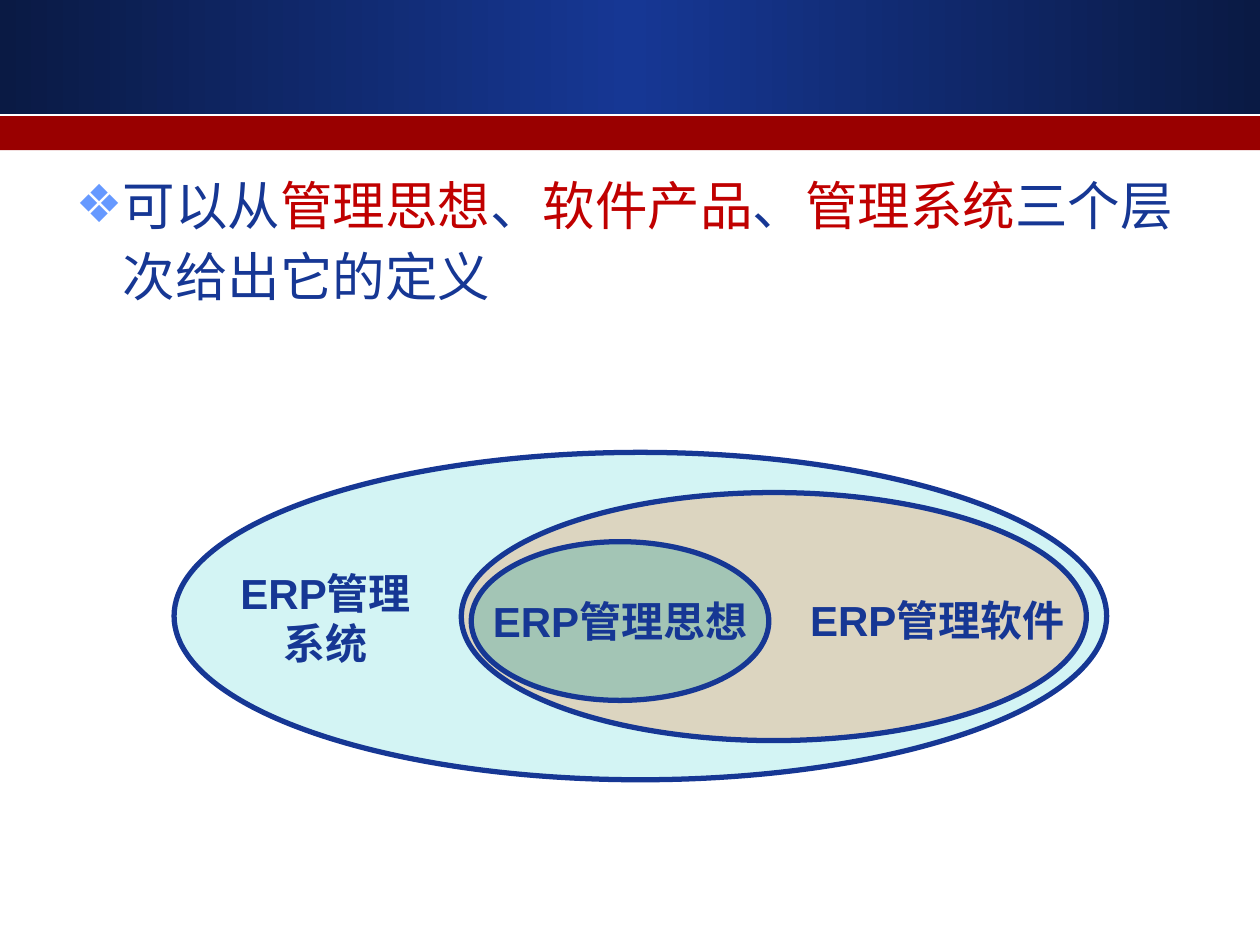
import copy

import lxml.etree
import pptx
import pptx.dml.color
import pptx.enum.shapes
import pptx.enum.text
import pptx.oxml.ns
import pptx.util

Cm = pptx.util.Cm
Pt = pptx.util.Pt
qn = pptx.oxml.ns.qn
ALIGN = pptx.enum.text.PP_ALIGN
ANCHOR = pptx.enum.text.MSO_ANCHOR
SHAPE = pptx.enum.shapes.MSO_SHAPE

NAVY = "163794"
DARK_NAVY = "0A1A44"
RED = "C00000"
BAND_RED = "990000"
BULLET_BLUE = "6699FF"


def color(value):
    return pptx.dml.color.RGBColor.from_string(value)


def add_run(paragraph, text, size=24, bold=False, fill=NAVY):
    run = paragraph.add_run()
    run.text = text
    run.font.name = "Arial"
    run.font.size = Pt(size)
    run.font.bold = bold
    run.font.color.rgb = color(fill)


def write_label(shape, text, align=ALIGN.CENTER, anchor=ANCHOR.MIDDLE, wrap=False):
    frame = shape.text_frame
    frame.word_wrap = wrap
    frame.vertical_anchor = anchor
    paragraph = frame.paragraphs[0]
    paragraph.alignment = align
    add_run(paragraph, text, bold=True)


def add_label(shapes, box, text, **text_format):
    label = shapes.add_textbox(*map(Cm, box))
    write_label(label, text, **text_format)


def add_band(shapes, top, height):
    band = shapes.add_shape(SHAPE.RECTANGLE, 0, Cm(top), Cm(25.4), Cm(height))
    band.shadow.inherit = False
    band.line.fill.background()
    return band


def add_header(shapes):
    gradient_band = add_band(shapes, 0, 2.31)
    fill = gradient_band.fill
    fill.gradient()
    fill.gradient_angle = 0
    stop_list = gradient_band.element.spPr.find(".//" + qn("a:gsLst"))
    stop_list.append(copy.deepcopy(stop_list[-1]))
    stops = zip(fill.gradient_stops, (0, 0.5, 1), (DARK_NAVY, NAVY, DARK_NAVY))
    for stop, position, value in stops:
        stop.position = position
        stop.color.rgb = color(value)
    red_band = add_band(shapes, 2.34, 0.69)
    red_band.fill.solid()
    red_band.fill.fore_color.rgb = color(BAND_RED)


def add_ellipse(shapes, box, fill, opacity):
    ellipse = shapes.add_shape(SHAPE.OVAL, *map(Cm, box))
    ellipse.shadow.inherit = False
    ellipse.fill.solid()
    ellipse.fill.fore_color.rgb = color(fill)
    solid_color = ellipse.element.spPr.find(qn("a:solidFill"))[0]
    alpha = lxml.etree.SubElement(solid_color, qn("a:alpha"))
    alpha.set("val", str(opacity * 1000))
    ellipse.line.color.rgb = color(NAVY)
    ellipse.line.width = Pt(3)
    return ellipse


def add_bullet(paragraph, character, fill):
    properties = paragraph._p.get_or_add_pPr()
    properties.set("marL", str(Cm(0.95)))
    properties.set("indent", str(Cm(-0.95)))
    bullet_color = lxml.etree.SubElement(properties, qn("a:buClr"))
    lxml.etree.SubElement(bullet_color, qn("a:srgbClr")).set("val", fill)
    lxml.etree.SubElement(properties, qn("a:buChar")).set("char", character)


def fill_body(body):
    body.left, body.top, body.width, body.height = map(Cm, (1.27, 3.2, 22.86, 14.58))
    body.text_frame.auto_size = pptx.enum.text.MSO_AUTO_SIZE.NONE
    paragraph = body.text_frame.paragraphs[0]
    add_bullet(paragraph, "❖", BULLET_BLUE)
    paragraph.line_spacing = 1.13
    paragraph.space_before = Pt(0)
    paragraph.space_after = Pt(6)
    parts = ("可以从", "管理思想", "、", "软件产品", "、", "管理系统", "三个层次给出它的定义")
    for index, text in enumerate(parts):
        add_run(paragraph, text, size=30, fill=RED if index % 2 else NAVY)


def add_diagram(shapes):
    system = shapes.add_group_shape().shapes
    add_ellipse(system, (3.51, 9.12, 18.8, 6.6), "33CCCC", 21)
    add_label(system, (4.47, 11.86, 4.19, 1.19), "ERP管理系统")
    add_ellipse(shapes, (9.3, 9.93, 12.6, 5), "FF6600", 21)
    thought = add_ellipse(shapes, (9.5, 10.92, 6, 3.2), "009999", 26)
    write_label(thought, "ERP管理思想")
    add_label(shapes, (16.08, 11.86, 5.72, 1.3), "ERP管理软件",
              align=ALIGN.LEFT, anchor=ANCHOR.TOP, wrap=True)


def main():
    presentation = pptx.Presentation()
    presentation.slide_width = Cm(25.4)
    presentation.slide_height = Cm(19.05)
    slide = presentation.slides.add_slide(presentation.slide_layouts[1])
    title = slide.shapes.title.element
    title.getparent().remove(title)
    add_header(slide.shapes)
    fill_body(slide.placeholders[1])
    add_diagram(slide.shapes)
    presentation.save("out.pptx")


if __name__ == "__main__":
    main()
